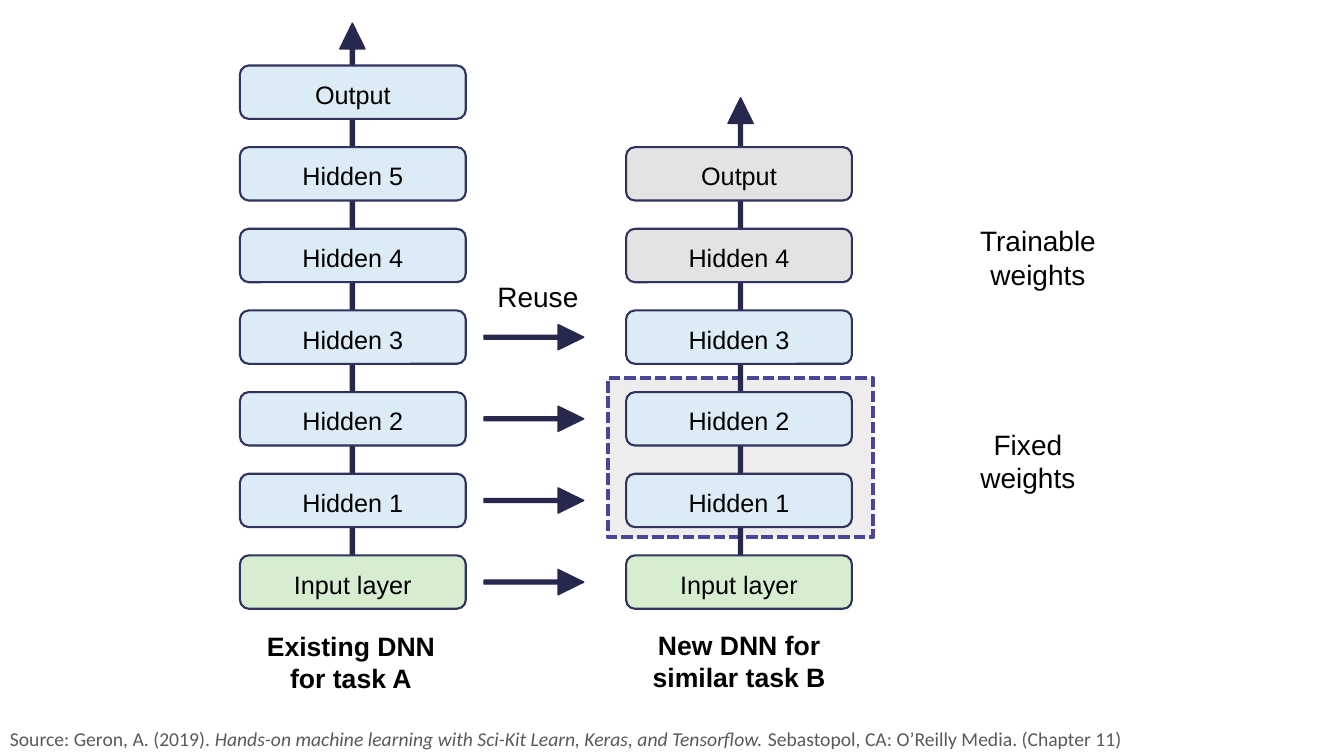
from dataclasses import dataclass

from lxml import etree
from pptx import Presentation
from pptx.dml.color import RGBColor
from pptx.enum.dml import MSO_LINE
from pptx.enum.shapes import MSO_SHAPE
from pptx.enum.text import MSO_ANCHOR, MSO_AUTO_SIZE, PP_ALIGN
from pptx.oxml.ns import qn
from pptx.util import Inches, Pt

RECTANGLE = MSO_SHAPE.RECTANGLE
ROUNDED = MSO_SHAPE.ROUNDED_RECTANGLE
UP_ARROW, RIGHT_ARROW = MSO_SHAPE.UP_ARROW, MSO_SHAPE.RIGHT_ARROW
SHORT_DASH = MSO_LINE.SQUARE_DOT
MIDDLE = MSO_ANCHOR.MIDDLE
GROW = MSO_AUTO_SIZE.SHAPE_TO_FIT_TEXT
LEFT, CENTER = PP_ALIGN.LEFT, PP_ALIGN.CENTER


@dataclass(frozen=True)
class Theme:
    font: str = "Arial"
    source_font: str = "Calibri"
    text: str = "000000"
    source_text: str = "595959"
    arrow: str = "26294D"
    layer_line: str = "30335D"
    reused: str = "DCECF6"
    replaced: str = "E3E3E3"
    input: str = "D6EECF"
    frozen: str = "D9D6D6"
    frozen_line: str = "484697"
    layer_size: int = 18
    caption_size: int = 19
    note_size: int = 20
    source_size: int = 14


theme = Theme()


def add_block(kind, left, top, width, height, fill, line, line_width):
    shape = slide.shapes.add_shape(
        kind, Inches(left), Inches(top), Inches(width), Inches(height))
    shape.shadow.inherit = False
    shape.fill.solid()
    shape.fill.fore_color.rgb = RGBColor.from_string(fill)
    shape.line.color.rgb = RGBColor.from_string(line)
    shape.line.width = Pt(line_width)
    if kind in (UP_ARROW, RIGHT_ARROW):
        shape.adjustments[0] = 0.154
        shape.adjustments[1] = 1.019
    return shape


def set_text(shape, runs, size, align=CENTER, bold=False,
             font=theme.font, color=theme.text):
    """Write one paragraph of (text, italic) runs into the shape."""
    shape.text_frame.word_wrap = True
    paragraph = shape.text_frame.paragraphs[0]
    paragraph.alignment = align
    paragraph.font.name = font
    paragraph.font.size = Pt(size)
    paragraph.font.bold = bold
    paragraph.font.color.rgb = RGBColor.from_string(color)
    for text, italic in runs:
        run = paragraph.add_run()
        run.text = text
        if italic:
            run.font.italic = True


presentation = Presentation()
presentation.slide_width = Inches(13.33)
presentation.slide_height = Inches(7.5)
slide = presentation.slides.add_slide(presentation.slide_layouts[6])

# Frame around the layers whose weights stay fixed
frame = add_block(RECTANGLE, 6.03, 3.75, 2.63, 1.58,
                  theme.frozen, theme.frozen_line, 2.75)
frame.line.dash_style = SHORT_DASH
frame_color = frame.fill._xPr.find(qn("a:solidFill"))[0]
etree.SubElement(frame_color, qn("a:alpha")).set("val", "44000")

# Two networks, layers listed from the input upwards
LAYER_WIDTH, LAYER_HEIGHT = 2.24, 0.53
INPUT_TOP, LAYER_PITCH = 5.51, 0.81
ARROW_THICKNESS = 0.25
REUSED_LAYERS = 4

reused_layers = [("Input layer", theme.input)] + [
    (f"Hidden {number}", theme.reused) for number in (1, 2, 3)]
networks = [
    (2.38, 3.37, 0.23, 5.35, reused_layers + [
        ("Hidden 4", theme.reused), ("Hidden 5", theme.reused),
        ("Output", theme.reused)]),
    (6.21, 7.22, 0.97, 4.74, reused_layers + [
        ("Hidden 4", theme.replaced), ("Output", theme.replaced)]),
]
for left, flow_left, flow_top, flow_height, layers in networks:
    add_block(UP_ARROW, flow_left, flow_top, ARROW_THICKNESS, flow_height,
              theme.arrow, theme.arrow, 1)
    for level, (name, fill) in enumerate(layers):
        layer = add_block(ROUNDED, left, INPUT_TOP - level * LAYER_PITCH,
                          LAYER_WIDTH, LAYER_HEIGHT, fill, theme.layer_line, 1.5)
        layer.text_frame.vertical_anchor = MIDDLE
        layer.text_frame.margin_top = Inches(0.09)
        set_text(layer, [(name, False)], theme.layer_size)

# Reuse arrows, centred on the layers they carry over
first_arrow_top = INPUT_TOP + (LAYER_HEIGHT - ARROW_THICKNESS) / 2
for level in range(REUSED_LAYERS):
    add_block(RIGHT_ARROW, 4.8, first_arrow_top - level * LAYER_PITCH,
              0.99, ARROW_THICKNESS, theme.arrow, theme.arrow, 1)

# Captions and notes
labels = [
    ("Reuse", 4.51, 2.72, 1.65, 0.44, theme.note_size, False),
    ("Existing DNN for task A", 2.49, 6.2, 1.98, 0.74, theme.caption_size, True),
    ("New DNN for similar task B", 6.34, 6.19, 1.98, 0.74, theme.caption_size, True),
    ("Trainable weights", 9.47, 2.17, 1.65, 0.77, theme.note_size, False),
    ("Fixed weights", 9.37, 4.19, 1.65, 0.77, theme.note_size, False),
]
for text, left, top, width, height, size, bold in labels:
    label = slide.shapes.add_textbox(
        Inches(left), Inches(top), Inches(width), Inches(height))
    label.text_frame.auto_size = GROW
    set_text(label, [(text, False)], size, bold=bold)

source = slide.shapes.add_textbox(0, Inches(7.16), Inches(13.33), Inches(0.34))
source.text_frame.auto_size = GROW
set_text(source, [
    ("Source: Geron, A. (2019). ", False),
    ("Hands-on machine learning with Sci-Kit Learn, Keras, and Tensorflow. ", True),
    ("Sebastopol, CA: O’Reilly Media. (Chapter 11)", False),
], theme.source_size, LEFT, font=theme.source_font, color=theme.source_text)

presentation.save("out.pptx")
